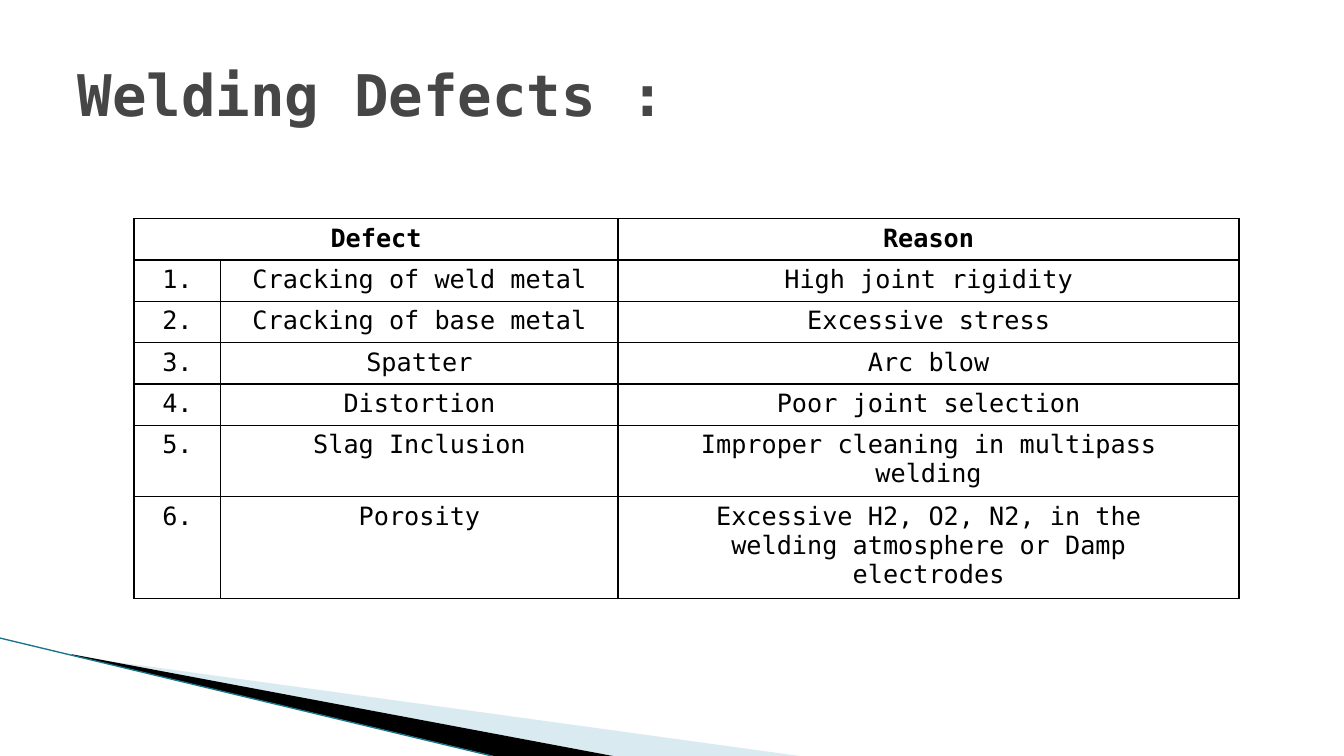
"""Build the welding defects slide with its table and corner swoosh."""
from dataclasses import dataclass

from lxml import etree
from pptx import Presentation
from pptx import util as u
from pptx.dml import color
from pptx.enum import text
from pptx.oxml import ns

PX = 9144


@dataclass(frozen=True)
class Theme:
    font: str = "DejaVu Sans Mono"
    title_size: int = 41
    cell_size: int = 18
    title: str = "464646"
    ink: str = "000000"
    pale: str = "A0CBDC"
    edge: str = "17768A"
    border_width: float = 1
    edge_width: float = 0.95


@dataclass(frozen=True)
class Wedge:
    points: tuple[tuple[int, int], ...]
    fill: str
    alpha: int = 100


@dataclass(frozen=True)
class Defect:
    name: str
    reason: str
    height: int = 41


THEME = Theme()
WEDGES = (
    Wedge(((73, 651), (793, 750), (608, 750), (73, 650)), THEME.pale, 40),
    Wedge(((71, 649), (608, 750), (490, 750), (72, 650)), THEME.ink),
)
DEFECTS = (
    Defect("Cracking of weld metal", "High joint rigidity"),
    Defect("Cracking of base metal", "Excessive stress"),
    Defect("Spatter", "Arc blow"),
    Defect("Distortion", "Poor joint selection"),
    Defect("Slag Inclusion", "Improper cleaning in multipass\nwelding", 71),
    Defect("Porosity", "Excessive H2, O2, N2, in the\nwelding atmosphere or Damp\nelectrodes", 101),
)
COLUMNS = (86, 394, 616)
HEADER_HEIGHT = 41


def px(length: int) -> u.Emu:
    """Turn px into EMU."""
    return u.Emu(length * PX)


def rgb(value: str) -> color.RGBColor:
    """Read a hex colour."""
    return color.RGBColor.from_string(value)


def style_text(frame, size: int, ink: str, bold: bool) -> None:
    """Format every run of a text frame."""
    for para in frame.paragraphs:
        for span in para.runs:
            span.font.name = THEME.font
            span.font.size = u.Pt(size)
            span.font.bold = bold
            span.font.color.rgb = rgb(ink)


def draw_wedge(page, wedge: Wedge) -> None:
    """Draw one filled wedge of the swoosh."""
    start, *rest = wedge.points
    builder = page.shapes.build_freeform(*start, scale=PX)
    builder.add_line_segments(rest, close=True)
    shape = builder.convert_to_shape()
    shape.shadow.inherit = False
    shape.line.fill.background()
    shape.fill.solid()
    shape.fill.fore_color.rgb = rgb(wedge.fill)
    if wedge.alpha < 100:
        tint = shape.fill._xPr.find(".//" + ns.qn("a:srgbClr"))
        etree.SubElement(tint, ns.qn("a:alpha"), val=str(wedge.alpha * 1000))


def draw_edge(page) -> None:
    """Draw the thin line under the swoosh."""
    edge = page.shapes.add_connector(1, px(0), px(633), px(488), px(750))
    edge.line.color.rgb = rgb(THEME.edge)
    edge.line.width = u.Pt(THEME.edge_width)
    etree.SubElement(edge._element.spPr, ns.qn("a:effectLst"))


def format_cell(cell, bold: bool) -> None:
    """Set borders, margins and text of a cell."""
    properties = cell._tc.get_or_add_tcPr()
    for side in ("lnL", "lnR", "lnT", "lnB"):
        line = etree.SubElement(properties, ns.qn(f"a:{side}"), w=str(u.Pt(THEME.border_width)))
        fill = etree.SubElement(line, ns.qn("a:solidFill"))
        etree.SubElement(fill, ns.qn("a:srgbClr"), val=THEME.ink)
    cell.fill.background()
    cell.margin_left = cell.margin_right = px(12)
    cell.margin_top = cell.margin_bottom = px(5)
    for para in cell.text_frame.paragraphs:
        para.alignment = text.PP_ALIGN.CENTER
    style_text(cell.text_frame, THEME.cell_size, THEME.ink, bold)


def draw_table(page) -> None:
    """Draw the table of defects and reasons."""
    heights = [HEADER_HEIGHT, *(defect.height for defect in DEFECTS)]
    rows = [("Defect", "", "Reason")]
    rows += [(f"{number}.", defect.name, defect.reason) for number, defect in enumerate(DEFECTS, 1)]
    table = page.shapes.add_table(
        len(rows), len(COLUMNS), px(133), px(217), px(sum(COLUMNS)), px(sum(heights))
    ).table
    table.first_row = table.horz_banding = False
    for column, width in zip(table.columns, COLUMNS):
        column.width = px(width)
    for row, height, words in zip(table.rows, heights, rows):
        row.height = px(height)
        for cell, wording in zip(row.cells, words):
            cell.text_frame.text = wording
            format_cell(cell, bold=words is rows[0])
    table.cell(0, 0).merge(table.cell(0, 1))


def draw_title(page) -> None:
    """Place and format the title."""
    title = page.shapes.title
    title.left, title.top, title.width, title.height = map(px, (67, 30, 1200, 125))
    frame = title.text_frame
    frame.text = "Welding Defects :"
    frame.vertical_anchor = text.MSO_ANCHOR.MIDDLE
    frame.auto_size = text.MSO_AUTO_SIZE.NONE
    frame.paragraphs[0].alignment = text.PP_ALIGN.LEFT
    style_text(frame, THEME.title_size, THEME.title, True)


def main() -> None:
    """Build and save the deck."""
    deck = Presentation()
    deck.slide_width, deck.slide_height = px(1333), px(750)
    page = deck.slides.add_slide(deck.slide_layouts.get_by_name("Title Only"))
    for wedge in WEDGES:
        draw_wedge(page, wedge)
    draw_edge(page)
    draw_table(page)
    draw_title(page)
    deck.save("out.pptx")


if __name__ == "__main__":
    main()
